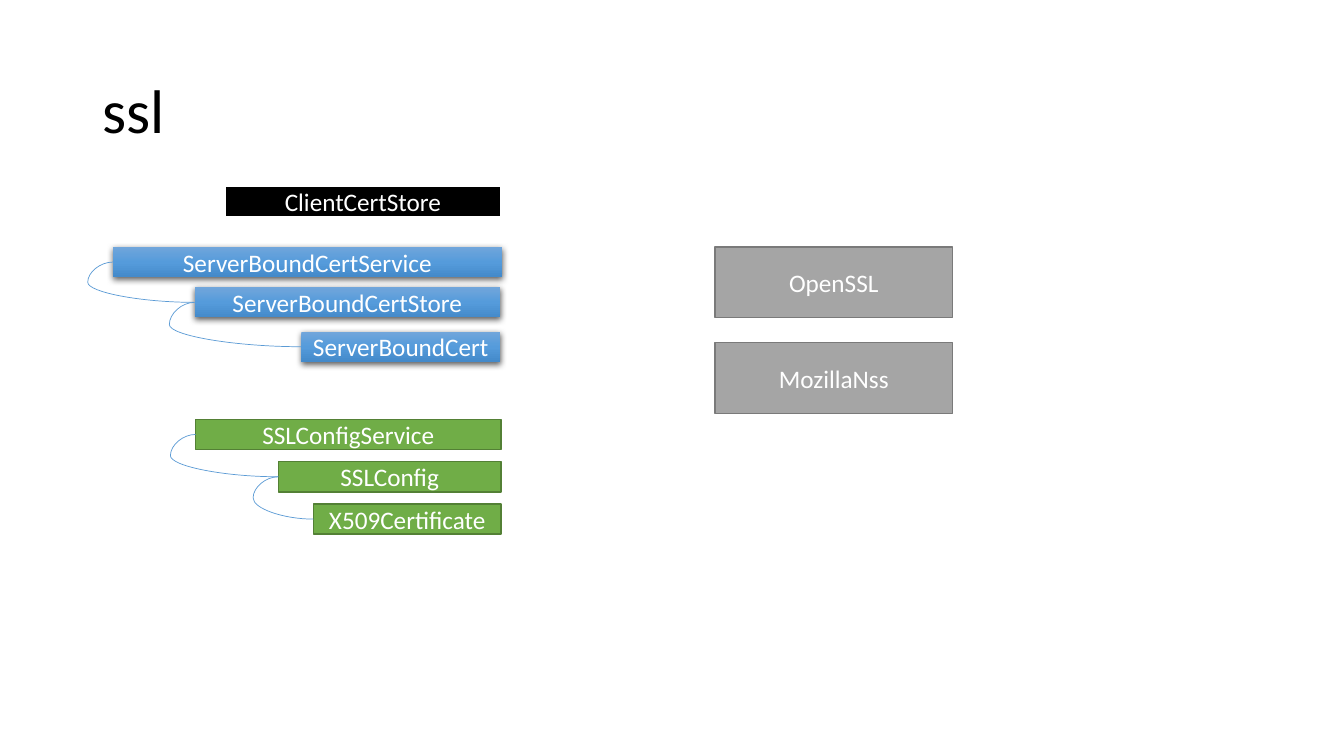
from dataclasses import dataclass
from itertools import pairwise
from typing import Optional

from lxml.etree import SubElement
from pptx import Presentation
from pptx.dml.color import RGBColor
from pptx.enum.shapes import MSO_CONNECTOR, MSO_SHAPE
from pptx.enum.text import MSO_ANCHOR, PP_ALIGN
from pptx.oxml import parse_xml
from pptx.oxml.ns import nsdecls, qn
from pptx.shapes.autoshape import Shape
from pptx.shapes.base import BaseShape
from pptx.slide import Slide
from pptx.util import Emu, Pt

BLACK = RGBColor(0x00, 0x00, 0x00)
WHITE = RGBColor(0xFF, 0xFF, 0xFF)
GREEN = RGBColor(0x70, 0xAD, 0x47)
DARK_GREEN = RGBColor(0x53, 0x80, 0x35)
GRAY = RGBColor(0xA5, 0xA5, 0xA5)
DARK_GRAY = RGBColor(0x7A, 0x7A, 0x7A)
CURVE_BLUE = RGBColor(0x5B, 0x9B, 0xD5)
BLUE_LIGHT = RGBColor(0x71, 0xA6, 0xDB)
BLUE_MIDDLE = RGBColor(0x55, 0x9B, 0xDB)
BLUE_DEEP = RGBColor(0x44, 0x8A, 0xCA)

FONT = "Calibri"
EMU_PER_PX = 9144
CLASS_HEIGHT = 30
LIBRARY_HEIGHT = 70
CURVE_REACH = 25
LEFT_SIDE = 1


@dataclass(frozen=True)
class Style:
    """Fill and outline of a box; without a fill it is glossy blue."""

    fill: Optional[RGBColor] = None
    outline: Optional[RGBColor] = None
    outline_points: float = 1


@dataclass(frozen=True)
class Node:
    """A labelled box, in px."""

    label: str
    left: int
    top: int
    width: int
    height: int = CLASS_HEIGHT


BLUE_STYLE = Style()
BLACK_STYLE = Style(BLACK, WHITE, 1.5)
GREEN_STYLE = Style(GREEN, DARK_GREEN)
GRAY_STYLE = Style(GRAY, DARK_GRAY)

CHAINS = [
    (BLUE_STYLE, [
        Node("ServerBoundCertService", 112, 245, 386),
        Node("ServerBoundCertStore", 193, 285, 303),
        Node("ServerBoundCert", 299, 329, 197),
    ]),
    (BLACK_STYLE, [Node("ClientCertStore", 223, 185, 274)]),
    (GREEN_STYLE, [
        Node("SSLConfigService", 194, 416, 303),
        Node("SSLConfig", 276, 458, 221),
        Node("X509Certificate", 311, 500, 186),
    ]),
]
LIBRARIES = [
    Node(name, 709, 245 + 95 * row, 236, LIBRARY_HEIGHT)
    for row, name in enumerate(["OpenSSL", "MozillaNss"])
]


def px(length: int) -> Emu:
    """Turn px into EMU."""
    return Emu(length * EMU_PER_PX)


def write(box: BaseShape, text: str, size: int, color: RGBColor) -> None:
    """Write one vertically centred paragraph."""
    frame = box.text_frame
    frame.word_wrap = True
    frame.vertical_anchor = MSO_ANCHOR.MIDDLE
    para = frame.paragraphs[0]
    para.text = text
    para.font.name = FONT
    para.font.size = Pt(size)
    para.font.color.rgb = color


def add_gloss(box: Shape) -> None:
    """Give a box the blue gradient and a soft shadow."""
    box.line.fill.background()
    properties = box.element.spPr
    stops = "".join(
        f'<a:gs pos="{position}"><a:srgbClr val="{color}"/></a:gs>'
        for position, color in zip((0, 50000, 100000), (BLUE_LIGHT, BLUE_MIDDLE, BLUE_DEEP))
    )
    gradient = parse_xml(
        f'<a:gradFill {nsdecls("a")} rotWithShape="1"><a:gsLst>{stops}</a:gsLst>'
        '<a:lin ang="5400000" scaled="0"/></a:gradFill>'
    )
    properties.find(qn("a:prstGeom")).addnext(gradient)
    shadow = parse_xml(
        f'<a:outerShdw {nsdecls("a")} blurRad="{Pt(4.5)}" dist="{Pt(1.5)}" dir="5400000" '
        f'algn="ctr" rotWithShape="0"><a:srgbClr val="{BLACK}">'
        '<a:alpha val="63000"/></a:srgbClr></a:outerShdw>'
    )
    properties.find(qn("a:effectLst")).append(shadow)


def add_node(page: Slide, node: Node, style: Style) -> Shape:
    """Draw a labelled box."""
    box = page.shapes.add_shape(
        MSO_SHAPE.RECTANGLE, px(node.left), px(node.top), px(node.width), px(node.height)
    )
    box.shadow.inherit = False
    if style.fill is None:
        add_gloss(box)
    else:
        box.fill.solid()
        box.fill.fore_color.rgb = style.fill
        box.line.color.rgb = style.outline
        box.line.width = Pt(style.outline_points)
    write(box, node.label, 18, WHITE)
    box.text_frame.paragraphs[0].alignment = PP_ALIGN.CENTER
    return box


def add_curve(page: Slide, owner: Shape, part: Shape) -> None:
    """Join the left sides of two boxes with a curve bulging leftwards."""
    curve = page.shapes.add_connector(
        MSO_CONNECTOR.CURVE,
        owner.left, owner.top + owner.height // 2,
        part.left, part.top + part.height // 2,
    )
    curve.begin_connect(owner, LEFT_SIDE)
    curve.end_connect(part, LEFT_SIDE)
    curve.line.color.rgb = CURVE_BLUE
    curve.line.width = Pt(0.5)
    properties = curve.element.spPr
    bend = round(-100000 * px(CURVE_REACH) / curve.width)
    guides = properties.find(qn("a:prstGeom")).get_or_add_avLst()
    SubElement(guides, qn("a:gd"), name="adj1", fmla=f"val {bend}")
    SubElement(properties, qn("a:effectLst"))


def main() -> None:
    """Build the slide and save it."""
    deck = Presentation()
    deck.slide_width, deck.slide_height = px(1333), px(750)
    page = deck.slides.add_slide(deck.slide_layouts[6])
    title = page.shapes.add_textbox(px(92), px(40), px(1150), px(145))
    write(title, "ssl", 44, BLACK)
    title.text_frame.paragraphs[0].line_spacing = 0.9
    for style, nodes in CHAINS:
        boxes = [add_node(page, node, style) for node in nodes]
        for owner, part in pairwise(boxes):
            add_curve(page, owner, part)
    for library in LIBRARIES:
        add_node(page, library, GRAY_STYLE)
    deck.save("out.pptx")


if __name__ == "__main__":
    main()
